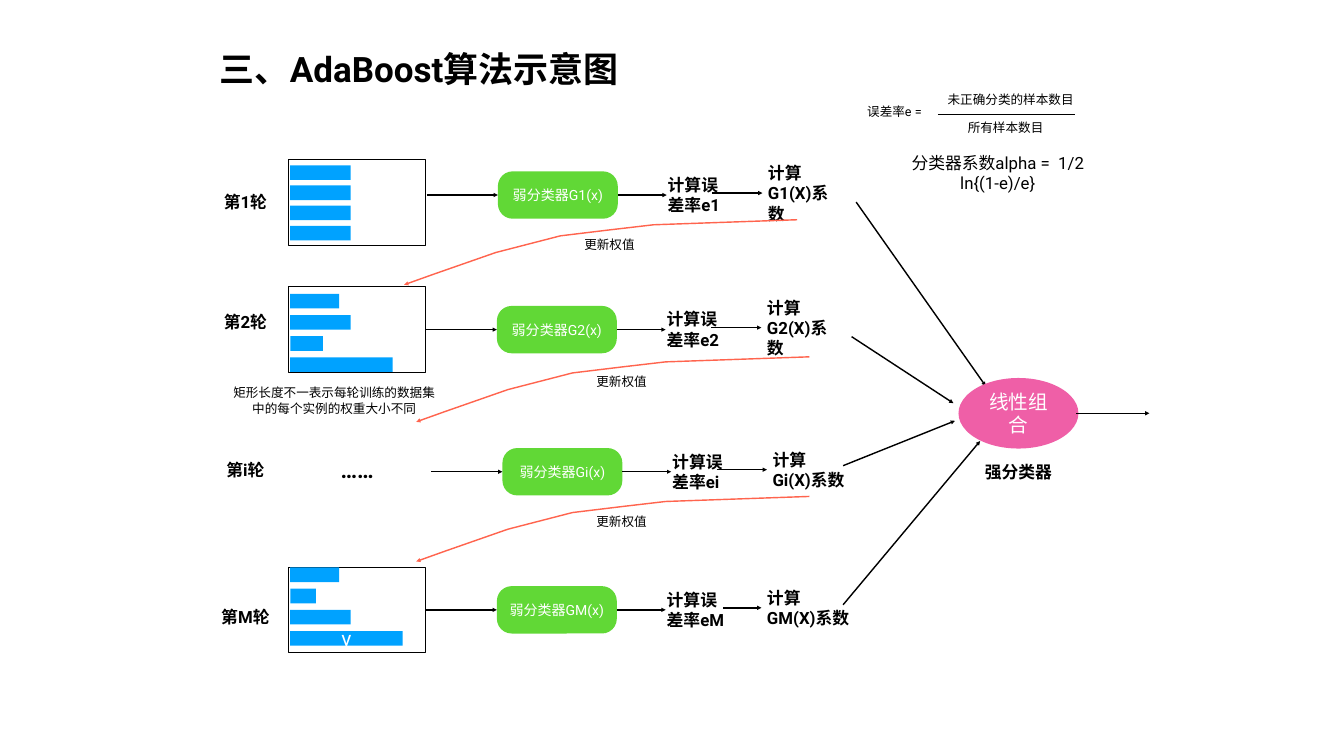
import lxml.etree
import pptx
import pptx.dml.color
import pptx.enum.shapes
import pptx.enum.text
import pptx.oxml.ns
import pptx.util

Inches = pptx.util.Inches
SHAPE = pptx.enum.shapes.MSO_SHAPE
ALIGN = pptx.enum.text.PP_ALIGN
qn = pptx.oxml.ns.qn

FONT = "Roboto"
COLORS = {"black": "000000", "white": "FFFFFF", "bar": "00A2FF",
          "weak": "61D836", "strong": "EF5FA7", "update": "FF644E"}


def color(name):
    return pptx.dml.color.RGBColor.from_string(COLORS[name])


def write(shape, text, size=24, bold=False, ink="black", align=ALIGN.CENTER):
    """Fill a shape with text, one paragraph for each line."""
    frame = shape.text_frame
    frame.word_wrap = True
    frame.auto_size = pptx.enum.text.MSO_AUTO_SIZE.NONE
    frame.vertical_anchor = pptx.enum.text.MSO_ANCHOR.MIDDLE
    frame.margin_left = frame.margin_right = Inches(0.08)
    frame.margin_top = frame.margin_bottom = Inches(0.08)
    for index, line in enumerate(text.split("\n")):
        para = frame.add_paragraph() if index else frame.paragraphs[0]
        para.alignment = align
        span = para.add_run()
        span.text = line
        span.font.size = pptx.util.Pt(size)
        span.font.bold = bold
        span.font.color.rgb = color(ink)
        span.font.name = FONT
        # East Asian text takes the same font
        lxml.etree.SubElement(span.font._element, qn("a:ea"), typeface=FONT)


def add_text(page, box, text, **style):
    write(page.shapes.add_textbox(*map(Inches, box)), text, **style)


def add_box(page, kind, box, fill, outline=None):
    shape = page.shapes.add_shape(kind, *map(Inches, box))
    shape.shadow.inherit = False
    shape.fill.solid()
    shape.fill.fore_color.rgb = color(fill)
    if outline:
        shape.line.color.rgb = color(outline)
        shape.line.width = pptx.util.Pt(1)
    else:
        shape.line.fill.background()
    return shape


def style_line(shape, ink="black", arrow=True):
    shape.line.color.rgb = color(ink)
    shape.line.width = pptx.util.Pt(2)
    properties = shape.element.spPr
    if arrow:
        lxml.etree.SubElement(properties.find(qn("a:ln")), qn("a:tailEnd"), type="triangle")
    if properties.find(qn("a:effectLst")) is None:
        lxml.etree.SubElement(properties, qn("a:effectLst"))


def add_line(page, start, end, arrow=True):
    line = page.shapes.add_connector(
        pptx.enum.shapes.MSO_CONNECTOR.STRAIGHT, *map(Inches, (*start, *end)))
    style_line(line, arrow=arrow)
    return line


def add_weights(page, left, top, first, pitch, widths, mark=None):
    """Frame holding one bar for each sample weight."""
    panel = add_box(page, SHAPE.RECTANGLE, (left, top, 2.72, 1.7), "white", "black")
    for index, width in enumerate(widths):
        bar = add_box(page, SHAPE.RECTANGLE,
                      (left + 0.03, top + first + index * pitch, width, 0.29), "bar")
    if mark:
        write(bar, mark, size=30, ink="white")
    return panel


def add_round(page, left, top, name, rate_width, factor_width, gap_start, panel=None):
    """Chain from weak classifier to error rate to coefficient."""
    middle = top + 0.47
    weak = add_box(page, SHAPE.ROUNDED_RECTANGLE, (left, top, 2.38, 0.94), "weak")
    weak.adjustments[0] = 0.312
    write(weak, f"弱分类器G{name}(x)", size=20, ink="white")
    entry = add_line(page, (left - 1.41, middle), (left, middle))
    if panel:
        entry.begin_connect(panel, 3)
    entry.end_connect(weak, 1)
    add_line(page, (left + 2.38, middle), (left + 3.35, middle)).begin_connect(weak, 3)
    add_line(page, (left + gap_start, top + 0.43), (left + 5.25, top + 0.43))
    add_text(page, (left + 3.29, top - 0.07, rate_width, 1.07),
             f"计算误\n差率e{name}", bold=True, align=ALIGN.LEFT)
    add_text(page, (left + 5.28, top - 0.1, factor_width, 1.07),
             f"计算\nG{name}(X)系数", bold=True, align=ALIGN.LEFT)


def add_update(page, left, top):
    """Arrow that carries new weights down to the next round."""
    bends = [(4.95, 0.1), (4.09, 0.2), (3.1, 0.32), (1.82, 0.65), (0.56, 1.09), (0, 1.29)]
    builder = page.shapes.build_freeform(Inches(left + 7.8), Inches(top))
    builder.add_line_segments(
        [(Inches(left + x), Inches(top + y)) for x, y in bends], close=False)
    sweep = builder.convert_to_shape()
    sweep.fill.background()
    style_line(sweep, "update")
    add_text(page, (left + 3.49, top + 0.24, 1.17, 0.5), "更新权值", size=18)


def add_strong(page, left, top):
    strong = add_box(page, SHAPE.OVAL, (left, top, 2.38, 1.4), "strong")
    write(strong, "线性组合", size=28, ink="white")
    add_text(page, (left + 0.44, top + 1.55, 1.5, 0.61), "强分类器", bold=True)
    add_line(page, (left + 2.34, top + 0.7), (left + 3.79, top + 0.7))


def add_formulas(page, left, top):
    add_text(page, (left, top + 0.25, 1.34, 0.5), "误差率e = ", size=18)
    add_text(page, (left + 1.61, top, 2.67, 0.5), "未正确分类的样本数目", size=18)
    add_line(page, (left + 1.5, top + 0.55), (left + 4.23, top + 0.55), arrow=False)
    add_text(page, (left + 2.01, top + 0.55, 1.67, 0.5), "所有样本数目", size=18)
    add_text(page, (left + 0.12, top + 1.4, 5.14, 0.61),
             "分类器系数alpha =  1/2 ln{(1-e)/e}")


def add_title(page, box, text):
    title = page.shapes.title
    title.left, title.top, title.width, title.height = map(Inches, box)
    write(title, text, size=50, bold=True, align=ALIGN.LEFT)


def main():
    deck = pptx.Presentation()
    deck.slide_width, deck.slide_height = Inches(26.67), Inches(15)
    page = deck.slides.add_slide(deck.slide_layouts[5])
    add_title(page, (4.28, 0.8, 8.28, 1.13), "三、AdaBoost算法示意图")

    add_weights(page, 5.73, 3.16, 0.12, 0.4, [1.2] * 4)
    second = add_weights(page, 5.73, 5.69, 0.14, 0.42, [0.97, 1.2, 0.65, 2.03])
    last = add_weights(page, 5.73, 11.25, 0.01, 0.42, [0.97, 0.51, 1.2, 2.23], "v")
    add_text(page, (6.56, 8.98, 1.06, 0.69), "……", size=32, bold=True)
    add_text(page, (4.51, 7.52, 4.24, 0.85),
             "矩形长度不一表示每轮训练的数据集\n中的每个实例的权重大小不同", size=18)

    for name, top, width in [("1", 3.7, 1.02), ("2", 6.08, 1.02),
                             ("i", 9.01, 0.92), ("M", 11.94, 1.14)]:
        add_text(page, (4.87 - width / 2, top, width, 0.61), f"第{name}轮", bold=True)

    add_round(page, 9.88, 3.4, "1", 1.26, 1.69, 4.25)
    add_round(page, 9.86, 6.07, "2", 1.26, 1.69, 4.25, second)
    add_round(page, 9.97, 8.89, "i", 1.26, 1.6, 4.25)
    add_round(page, 9.86, 11.63, "M", 1.33, 1.81, 4.49, last)

    for left, top in [(8.02, 4.36), (8.26, 7.08), (8.26, 9.85)]:
        add_update(page, left, top)
    for start, end in [((16.99, 4.01), (19.56, 7.66)), ((16.9, 6.68), (18.92, 8)),
                       ((16.73, 9.24), (18.95, 8.35)), ((16.73, 12), (19.45, 8.75))]:
        add_line(page, start, end)

    add_strong(page, 19.02, 7.5)
    add_formulas(page, 17.11, 1.72)
    deck.save("out.pptx")


if __name__ == "__main__":
    main()
